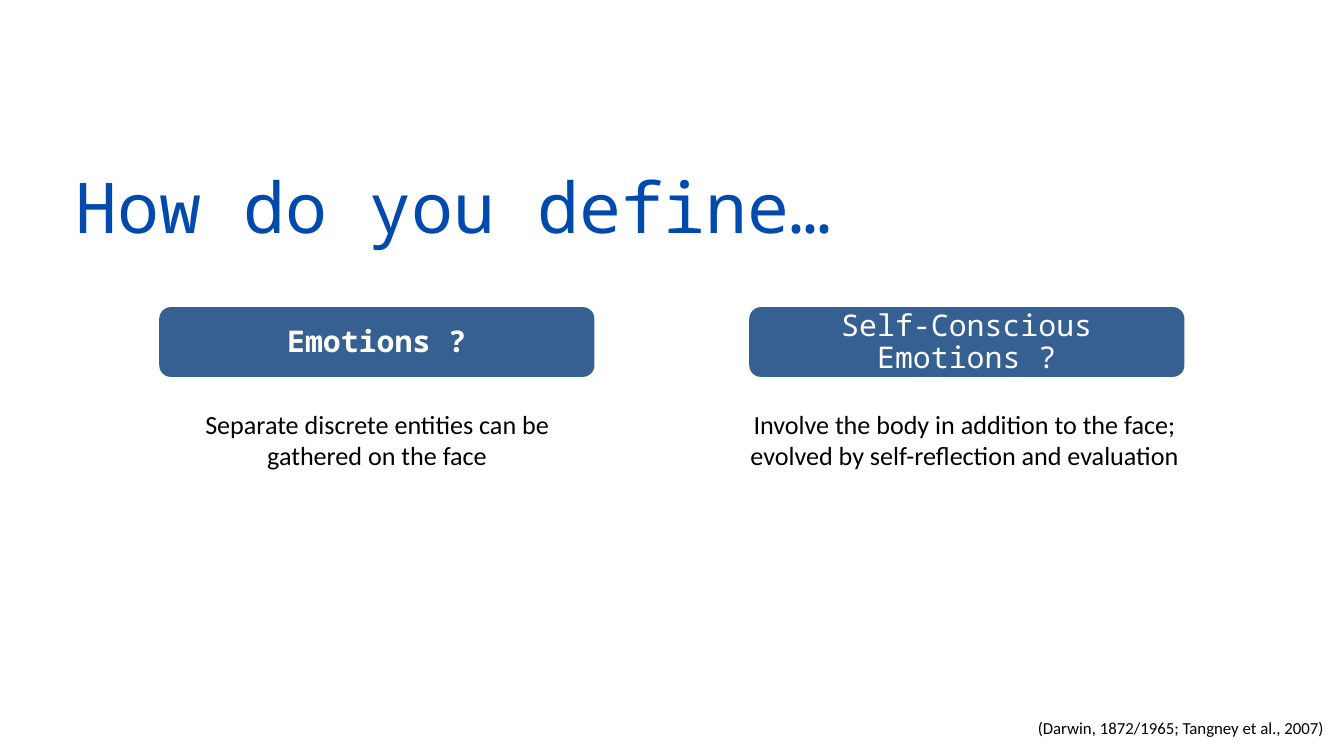
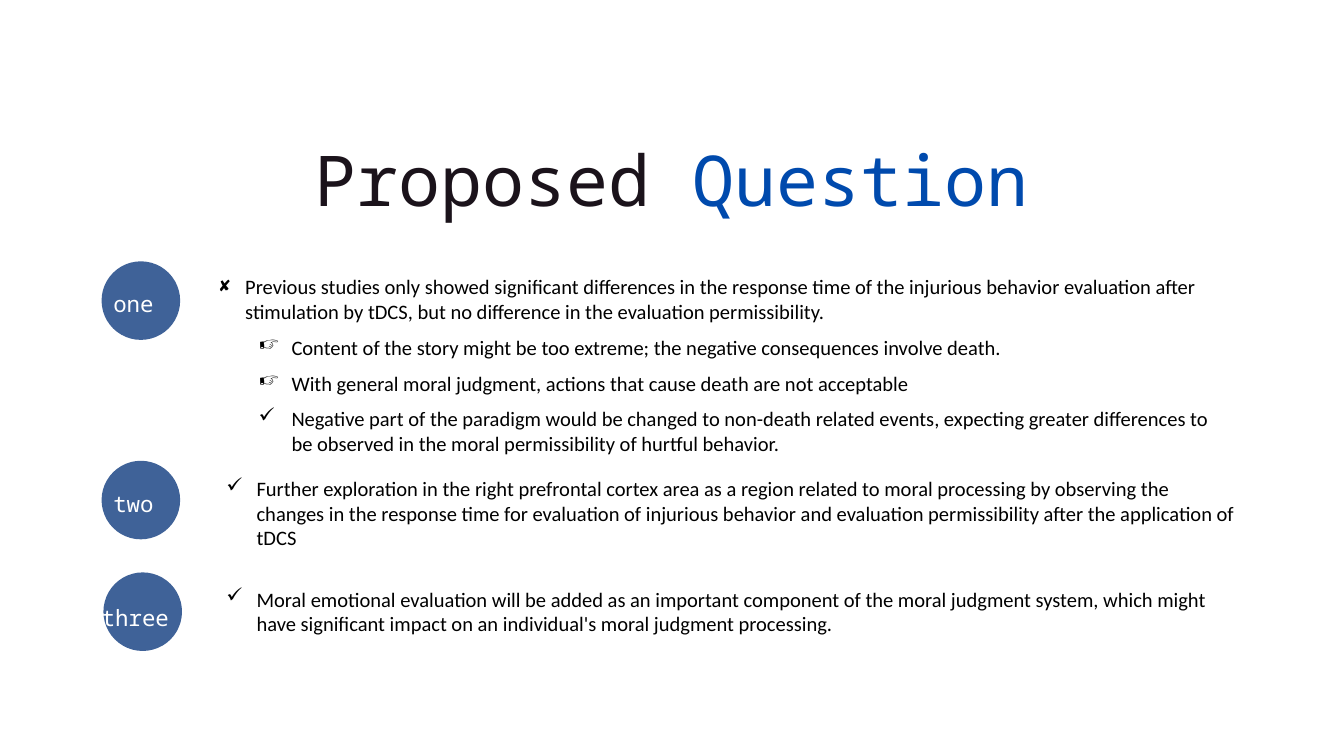
from pptx import Presentation
from pptx.dml.color import RGBColor as Rgb
from pptx.enum.shapes import MSO_SHAPE as Shape
from pptx.enum.text import MSO_ANCHOR as Anchor, PP_ALIGN as Align
from pptx.util import Cm, Pt
from lxml.etree import SubElement as Sub
from pptx.oxml.ns import qn

HUES = {
    "title": "004AAD",
    "dark": "1B131B",
    "head": "376092",
    "disc": "3F6298",
    "text": "000000",
    "white": "FFFFFF",
}
MONO, SANS = "Noto Sans Mono", "Calibri"
PAD = (0.25, 0.13, 0.25, 0.13)
BARE = (0, 0, 0, 0)
LEFT, MID, RIGHT = Align.LEFT, Align.CENTER, Align.RIGHT
ROW, SUB = (1.4, 1.14), (2.72, 1.24)

HEADS = [
    (6.02, "Emotions ?", True, 6.02,
     "Separate discrete entities can be gathered on the face"),
    (28.32, "Self-Conscious Emotions ?", False, 28.22,
     "Involve the body in addition to the face; evolved by "
     "self-reflection and evaluation"),
]
STEPS = [
    ("one", 3.84, 9.88, 10.57, 10.24, 38.18, 7.19, [
        ("✘", (0.97, 0.97),
         "Previous studies only showed significant differences in the response "
         "time of the injurious behavior evaluation after stimulation by tDCS, "
         "but no difference in the evaluation permissibility."),
        ("☞", SUB,
         "Content of the story might be too extreme; the negative consequences "
         "involve death."),
        ("☞", SUB,
         "With general moral judgment, actions that cause death are not "
         "acceptable"),
        ("✓", SUB,
         "Negative part of the paradigm would be changed to non-death related "
         "events, expecting greater differences to be observed in the moral "
         "permissibility of hurtful behavior."),
    ]),
    ("two", 3.84, 17.42, 18.11, 17.86, 38.91, 2.13, [
        ("✓", ROW,
         "Further exploration in the right prefrontal cortex area as a region "
         "related to moral processing by observing the changes in the response "
         "time for evaluation of injurious behavior and evaluation "
         "permissibility after the application of tDCS"),
    ]),
    ("three", 3.91, 21.64, 22.45, 22.05, 38.18, 2.13, [
        ("✓", ROW,
         "Moral emotional evaluation will be added as an important component "
         "of the moral judgment system, which might have significant impact on "
         "an individual's moral judgment processing."),
    ]),
]


def tint(hue):
    """Return the named colour."""
    return Rgb.from_string(HUES[hue])


def style(para, size, face, hue, align=LEFT, lead=None, bold=False):
    """Set the look of one paragraph."""
    para.alignment = align
    if lead:
        para.line_spacing = Pt(lead)
    font = para.font
    font.size, font.name, font.bold = Pt(size), face, bold
    font.color.rgb = tint(hue)


def inset(frame, pad):
    """Wrap a text frame and set its margins."""
    frame.word_wrap = True
    frame.margin_left, frame.margin_top, frame.margin_right, \
        frame.margin_bottom = map(Cm, pad)


def add_box(slide, area, pad=PAD):
    """Add an empty text box and return its frame."""
    frame = slide.shapes.add_textbox(*map(Cm, area)).text_frame
    inset(frame, pad)
    return frame


def add_text(slide, area, text, *look, pad=PAD, **more):
    """Add a text box with one styled paragraph."""
    para = add_box(slide, area, pad).paragraphs[0]
    para.text = text
    style(para, *look, **more)


def add_title(slide, area, parts, align=LEFT):
    """Add a title made of coloured parts."""
    para = add_box(slide, area, BARE).paragraphs[0]
    style(para, 75, MONO, "title", align, 82.5)
    for text, hue in parts:
        run = para.add_run()
        run.text = text
        run.font.color.rgb = tint(hue)


def add_form(slide, kind, area, hue):
    """Add a plain filled shape."""
    form = slide.shapes.add_shape(kind, *map(Cm, area))
    form.shadow.inherit = False
    form.fill.solid()
    form.fill.fore_color.rgb = tint(hue)
    form.line.fill.background()
    return form


def add_head(slide, left, text, bold):
    """Add a rounded heading bar."""
    form = add_form(slide, Shape.ROUNDED_RECTANGLE,
                    (left, 11.61, 16.45, 2.64), "head")
    frame = form.text_frame
    inset(frame, (0.71, 0, 0.71, 0))
    frame.vertical_anchor = Anchor.MIDDLE
    para = frame.paragraphs[0]
    para.text = text
    style(para, 32, MONO, "white", MID, 35, bold)


def add_list(slide, area, items):
    """Add a box of bulleted paragraphs."""
    frame = add_box(slide, area)
    for i, (mark, (left, hang), text) in enumerate(items):
        para = frame.add_paragraph() if i else frame.paragraphs[0]
        para.text = text
        if i:
            para.space_before = Pt(12)
        props = para._p.get_or_add_pPr()
        props.set("marL", str(Cm(left)))
        props.set("indent", str(-Cm(hang)))
        Sub(props, qn("a:buChar")).set("char", mark)
        style(para, 22, SANS, "text")


def add_step(slide, name, left, top, drop, start, width, height, items):
    """Add a numbered disc with its list."""
    add_form(slide, Shape.OVAL, (left, top, 2.97, 2.97), "disc")
    add_text(slide, (left - 0.28, drop, 2.97, 1.32), name,
             24, MONO, "white", MID, 40.3, pad=BARE)
    add_list(slide, (8.05, start, width, height), items)


def draw_terms(slide):
    """Fill the slide that defines both terms."""
    add_title(slide, (2.84, 6.43, 33, 2.95), [("How do you define…", "title")])
    for left, head, bold, start, text in HEADS:
        add_head(slide, left, head, bold)
        add_text(slide, (start, 15.44, 16.46, 2.39), text,
                 28, SANS, "text", MID, pad=BARE)
    add_text(slide, (27.25, 27, 23.04, 1.02),
             "(Darwin, 1872/1965; Tangney et al., 2007)",
             18, SANS, "text", RIGHT)


def draw_plan(slide):
    """Fill the slide that lists the proposed question."""
    add_title(slide, (6.93, 5.44, 36.91, 2.95),
              [("Proposed", "dark"), (" Question", "title")], MID)
    for step in STEPS:
        add_step(slide, *step)


def main():
    """Build and save the deck."""
    deck = Presentation()
    deck.slide_width, deck.slide_height = Cm(50.8), Cm(28.58)
    for draw in (draw_terms, draw_plan):
        draw(deck.slides.add_slide(deck.slide_layouts[6]))
    deck.save("out.pptx")


if __name__ == "__main__":
    main()
